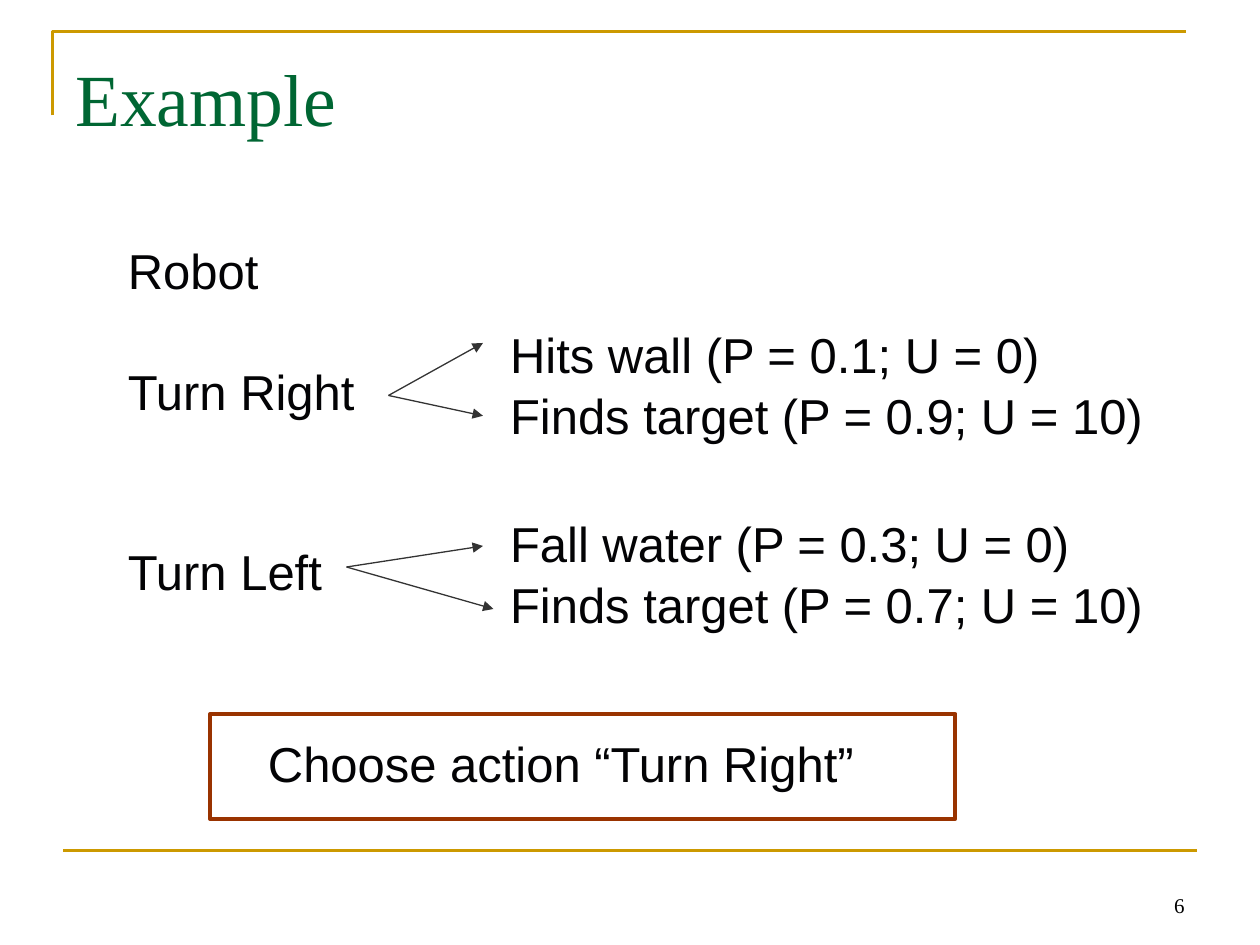
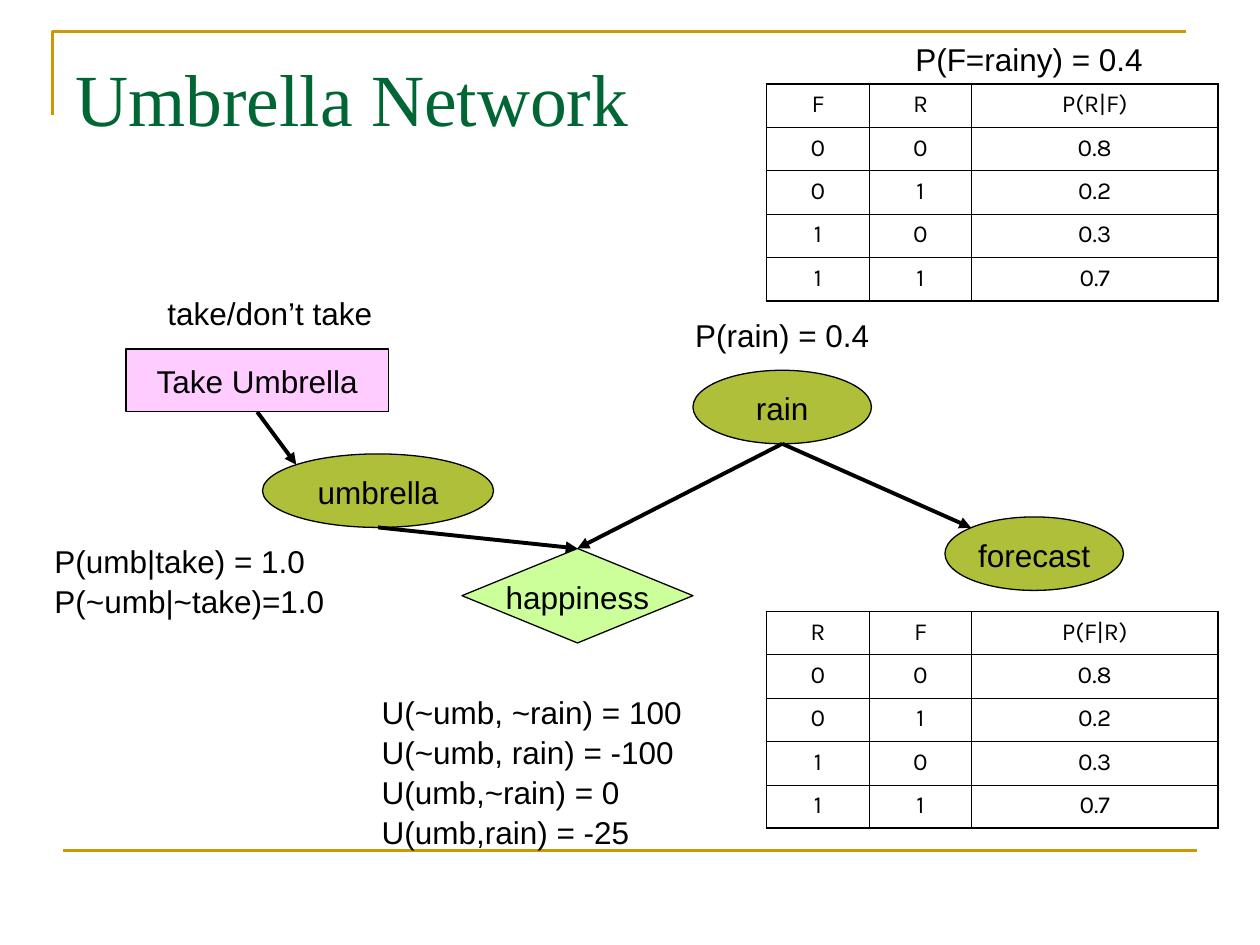
from dataclasses import dataclass
from math import sqrt
from typing import NamedTuple

from lxml.etree import SubElement
from pptx import Presentation
from pptx.dml.color import RGBColor
from pptx.enum.shapes import MSO_CONNECTOR, MSO_SHAPE
from pptx.enum.text import MSO_ANCHOR, PP_ALIGN
from pptx.oxml.ns import qn
from pptx.util import Pt


@dataclass(frozen=True)
class Theme:
    title_font: str = "Times New Roman"
    body_font: str = "Arial"
    table_font: str = "Karla"
    title_size: float = 42
    body_size: float = 28
    diagram_size: float = 18
    table_size: float = 14
    number_size: float = 12
    line_spacing: float = 1.05
    title_color: str = "006633"
    band_color: str = "CC9900"
    body_color: str = "030305"
    black: str = "000000"
    branch_color: str = "333333"
    choice_color: str = "993300"
    chance_fill: str = "AFBF39"
    decision_fill: str = "FFCCFF"
    utility_fill: str = "CCFF99"


THEME = Theme()
BODY_LINE = 33.8
BOTTOM, TOP = 2, 0


class Box(NamedTuple):
    left: float
    top: float
    width: float
    height: float

    def inside(self, left, top, width, height):
        """Return a box whose corner is measured from this box's corner."""
        return Box(self.left + left, self.top + top, width, height)

    def point(self, x, y):
        return self.left + x, self.top + y

    def bottom_middle(self):
        return self.point(self.width / 2, self.height)

    def top_middle(self):
        return self.point(self.width / 2, 0)

    def ellipse_upper_left(self):
        """Return the point of the inscribed ellipse at 45 degrees."""
        share = (1 - 1 / sqrt(2)) / 2
        return self.point(self.width * share, self.height * share)


def points(values):
    return [Pt(value) for value in values]


def rgb(color):
    return RGBColor.from_string(color)


def write(frame, *lines, size=THEME.diagram_size, font=THEME.body_font,
          color=THEME.black, align=PP_ALIGN.LEFT, anchor=MSO_ANCHOR.TOP,
          wrap=True, spacing=THEME.line_spacing, gaps=()):
    """Fill a text frame; gaps holds the space before each later line."""
    frame.word_wrap = wrap
    frame.vertical_anchor = anchor
    for index, line in enumerate(lines):
        paragraph = frame.paragraphs[0] if index == 0 else frame.add_paragraph()
        paragraph.text = line
        paragraph.alignment = align
        paragraph.line_spacing = spacing
        if index and gaps:
            paragraph.space_before = Pt(gaps[index - 1])
        paragraph.font.name = font
        paragraph.font.size = Pt(size)
        paragraph.font.color.rgb = rgb(color)


def add_text(slide, box, *lines, **text_format):
    write(slide.shapes.add_textbox(*points(box)).text_frame, *lines, **text_format)


def style_shape(shape, line_color, line_width, fill=None):
    shape.shadow.inherit = False
    if fill:
        shape.fill.solid()
        shape.fill.fore_color.rgb = rgb(fill)
    else:
        shape.fill.background()
    shape.line.color.rgb = rgb(line_color)
    shape.line.width = Pt(line_width)


def add_line(slide, start, end, color, width, arrow=True):
    connector = slide.shapes.add_connector(
        MSO_CONNECTOR.STRAIGHT, *points(start + end))
    connector.line.color.rgb = rgb(color)
    connector.line.width = Pt(width)
    properties = connector._element.spPr
    if arrow:
        SubElement(properties.find(qn("a:ln")), qn("a:tailEnd"), type="triangle")
    SubElement(properties, qn("a:effectLst"))
    return connector


def add_frame(slide, box, title):
    """Draw the corner band, the bottom band and the title."""
    corner = slide.shapes.build_freeform(*points(box.point(0, 48)))
    corner.add_line_segments(
        [points(box.point(0, 0)), points(box.point(648, 0))], close=False)
    style_shape(corner.convert_to_shape(), THEME.band_color, 1.5)
    add_line(slide, box.point(6, 468), box.point(654, 468),
             THEME.band_color, 1.5, arrow=False)
    add_text(slide, box.inside(6, 6, 648, 90), title, size=THEME.title_size,
             font=THEME.title_font, color=THEME.title_color)


def add_page_number(slide, box, number):
    add_text(slide, box, number, size=THEME.number_size, font=THEME.title_font,
             align=PP_ALIGN.RIGHT, anchor=MSO_ANCHOR.BOTTOM)


def add_robot_choices(slide, box):
    body = {"size": THEME.body_size, "color": THEME.body_color}
    add_text(slide, box.inside(0, 0, 154, 209), "Robot", "Turn Right", "Turn Left",
             gaps=(BODY_LINE, 2 * BODY_LINE), **body)
    branches = [
        (48, ("Hits wall (P = 0.1; U = 0)", "Finds target (P = 0.9; U = 10)"),
         (156, 94), [(210, 64), (210, 105.6)]),
        (156, ("Fall water (P = 0.3; U = 0)", "Finds target (P = 0.7; U = 10)"),
         (132, 192), [(210, 180), (216, 216)]),
    ]
    for top, outcomes, start, ends in branches:
        add_text(slide, box.inside(218.4, top, 390, 75), *outcomes, **body)
        for end in ends:
            add_line(slide, box.point(*start), box.point(*end),
                     THEME.branch_color, 0.75)


def add_conclusion(slide, box, conclusion):
    add_text(slide, box.inside(26, 6, 370, 41), conclusion,
             size=THEME.body_size, color=THEME.body_color)
    outline = slide.shapes.add_shape(MSO_SHAPE.RECTANGLE, *points(box))
    style_shape(outline, THEME.choice_color, 2.25)


def add_node(slide, box, name, preset=MSO_SHAPE.OVAL, fill=THEME.chance_fill):
    node = slide.shapes.add_shape(preset, *points(box))
    style_shape(node, THEME.black, 0.75, fill)
    write(node.text_frame, name, align=PP_ALIGN.CENTER,
          anchor=MSO_ANCHOR.MIDDLE, wrap=False)
    return node


def add_network(slide, box):
    rain = box.inside(372, 49.6, 102, 42)
    forecast = box.inside(516, 133.4, 102, 42)
    take = box.inside(48, 37.4, 150, 36)
    umbrella = box.inside(126, 97.4, 132, 42)
    happiness = box.inside(240, 151.4, 132, 54)

    add_node(slide, rain, "rain")
    add_node(slide, forecast, "forecast")
    add_node(slide, umbrella, "umbrella")
    take_node = add_node(slide, take, "Take Umbrella",
                         MSO_SHAPE.RECTANGLE, THEME.decision_fill)
    happiness_node = add_node(slide, happiness, "happiness",
                              MSO_SHAPE.FLOWCHART_DECISION, THEME.utility_fill)

    edges = [
        (rain.bottom_middle(), happiness.top_middle(), None, happiness_node),
        (umbrella.bottom_middle(), happiness.top_middle(), None, happiness_node),
        (rain.bottom_middle(), forecast.ellipse_upper_left(), None, None),
        (take.bottom_middle(), umbrella.ellipse_upper_left(), take_node, None),
    ]
    for start, end, source, target in edges:
        arrow = add_line(slide, start, end, THEME.black, 2.25)
        if source:
            arrow.begin_connect(source, BOTTOM)
        if target:
            arrow.end_connect(target, TOP)

    add_text(slide, box.inside(64.6, 1.4, 140, 29), "take/don’t take")
    add_text(slide, box.inside(366.2, 13.7, 122, 29), "P(rain) = 0.4")
    add_text(slide, box.inside(0, 143.3, 176, 51),
             "P(umb|take) = 1.0", "P(~umb|~take)=1.0")
    add_text(slide, box.inside(187, 229.7, 194, 94),
             "U(~umb, ~rain) = 100", "U(~umb, rain) = -100",
             "U(umb,~rain) = 0", "U(umb,rain) = -25")


def set_border(cell, side, width):
    line = SubElement(cell._tc.get_or_add_tcPr(), qn(f"a:ln{side}"), w=str(Pt(width)))
    fill = SubElement(line, qn("a:solidFill"))
    SubElement(fill, qn("a:srgbClr"), val=THEME.black)


def add_probability_table(slide, box, condition, outcome):
    """Tabulate P(outcome|condition) with a heavier outer border."""
    rows = [(condition, outcome, f"P({outcome}|{condition})"),
            ("0", "0", "0.8"), ("0", "1", "0.2"),
            ("1", "0", "0.3"), ("1", "1", "0.7")]
    table = slide.shapes.add_table(len(rows), 3, *points(box)).table
    table.first_row = table.horz_banding = False
    for column, width in zip(table.columns, (58.8, 58.4, 140.8)):
        column.width = Pt(width)
    last_row, last_column = len(rows) - 1, 2
    for row_index, values in enumerate(rows):
        table.rows[row_index].height = Pt(box.height / len(rows))
        for column_index, value in enumerate(values):
            cell = table.cell(row_index, column_index)
            outer_sides = {"L": column_index == 0, "R": column_index == last_column,
                           "T": row_index == 0, "B": row_index == last_row}
            for side, outer in outer_sides.items():
                set_border(cell, side, 1.08 if outer else 0.45)
            cell.fill.background()
            write(cell.text_frame, value, size=THEME.table_size,
                  font=THEME.table_font, align=PP_ALIGN.CENTER, spacing=1.0)


def add_slide(presentation, title):
    slide = presentation.slides.add_slide(presentation.slide_layouts[6])
    add_frame(slide, Box(30, 18, 654, 468), title)
    return slide


def build_example(presentation):
    slide = add_slide(presentation, "Example")
    add_page_number(slide, Box(516, 492, 168, 36), "6")
    add_robot_choices(slide, Box(66, 132, 610, 240))
    add_conclusion(slide, Box(120, 408, 426, 60), "Choose action “Turn Right”")


def build_umbrella_network(presentation):
    slide = add_slide(presentation, "Umbrella Network")
    add_network(slide, Box(24, 162, 620, 324))
    add_probability_table(slide, Box(438, 349.4, 258, 124), "R", "F")
    add_probability_table(slide, Box(438, 48, 258, 124), "F", "R")
    add_text(slide, Box(516, 18, 150, 29), "P(F=rainy) = 0.4")


def main():
    presentation = Presentation()
    presentation.slide_width, presentation.slide_height = Pt(720), Pt(540)
    build_example(presentation)
    build_umbrella_network(presentation)
    presentation.save("out.pptx")


if __name__ == "__main__":
    main()
